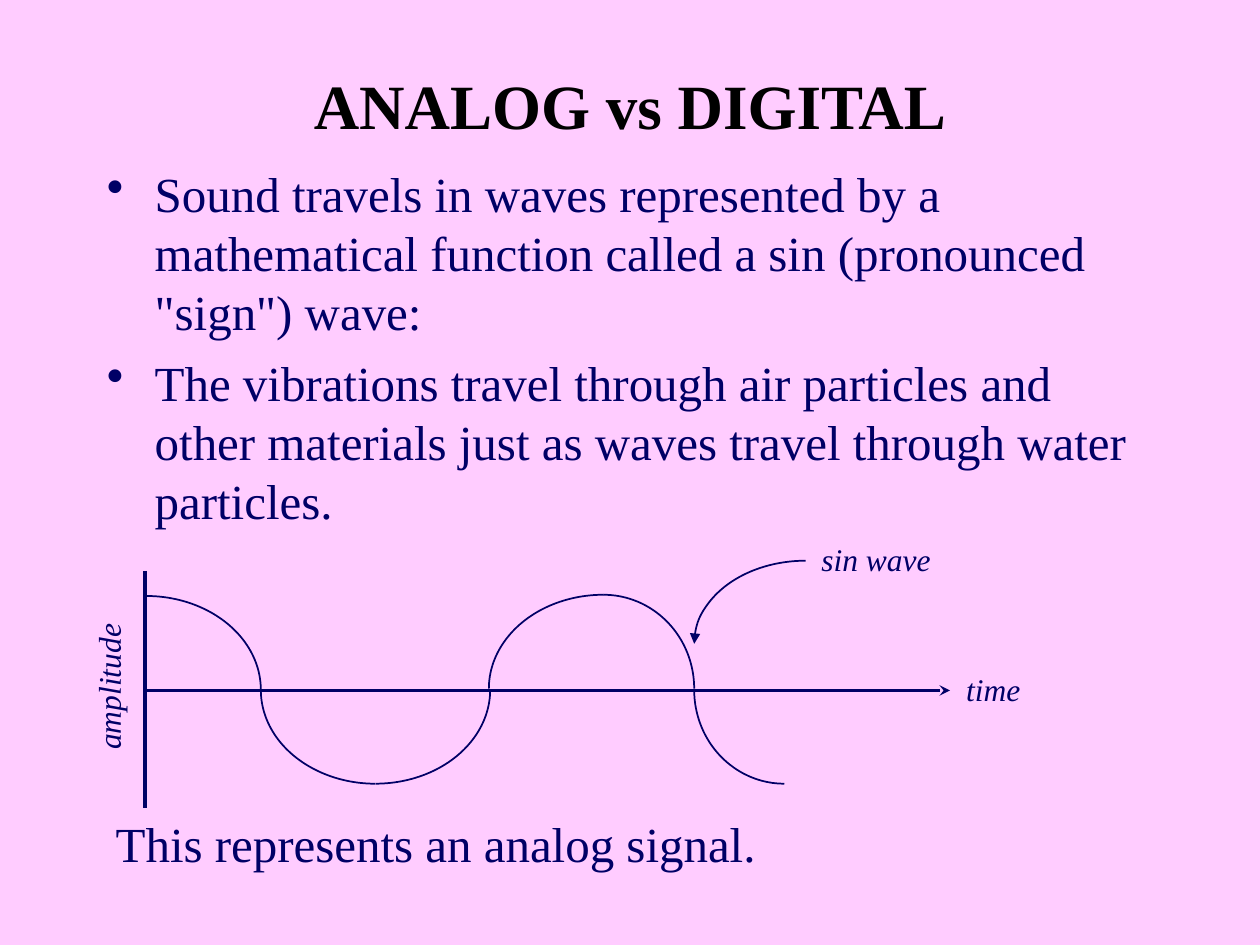
from typing import NamedTuple

from lxml import etree
from pptx import Presentation
from pptx.dml.color import RGBColor
from pptx.enum.shapes import MSO_CONNECTOR, MSO_SHAPE
from pptx.enum.text import MSO_ANCHOR, MSO_AUTO_SIZE, PP_ALIGN
from pptx.oxml.ns import qn
from pptx.util import Inches, Pt

PINK = RGBColor(0xFF, 0xCC, 0xFF)
NAVY = RGBColor(0x00, 0x00, 0x66)
BLACK = RGBColor(0x00, 0x00, 0x00)
FACE = "Times New Roman"
LINE = MSO_CONNECTOR.STRAIGHT
ARC = MSO_SHAPE.ARC
MIDDLE = MSO_ANCHOR.MIDDLE
TOP = MSO_ANCHOR.TOP
CENTER = PP_ALIGN.CENTER
LEFT = PP_ALIGN.LEFT
GROW = MSO_AUTO_SIZE.SHAPE_TO_FIT_TEXT
FIXED = MSO_AUTO_SIZE.NONE

COLS, ROWS = 100, 75
CELL = Inches(0.1)
LOW_RIGHT, LOW_LEFT, UP_LEFT, UP_RIGHT = 0, 90, 180, 270
ANGLE_UNIT = 0.6


class Box(NamedTuple):
    col: float
    row: float
    wide: float
    high: float

    def cells(self) -> list[int]:
        return [round(n * CELL) for n in self]


class Curve(NamedTuple):
    box: Box
    start: int
    head: str = ""


class Axis(NamedTuple):
    col: float
    row: float
    end_col: float
    end_row: float
    tail: str = ""


class Label(NamedTuple):
    text: str
    box: Box
    size: int = 18
    slant: bool = True
    turn: int = 0


AXES = [
    Axis(11.5, 54.8, 75.4, 54.8, "stealth"),
    Axis(11.5, 45.3, 11.5, 64.1),
]
TROUGH = Box(20.7, 47.3, 18.2, 14.9)
CURVES = [
    Curve(Box(2.5, 47.3, 18.2, 14.9), UP_RIGHT),
    Curve(TROUGH, LOW_LEFT),
    Curve(TROUGH, LOW_RIGHT),
    Curve(Box(38.8, 47.2, 18.2, 14.9), UP_LEFT),
    Curve(Box(40.7, 47.2, 14.4, 14.9), UP_RIGHT),
    Curve(Box(55.1, 47.3, 14.3, 14.9), LOW_LEFT),
    Curve(Box(55.1, 44.5, 17.7, 13.2), UP_LEFT, "triangle"),
]
LABELS = [
    Label("time", Box(75.7, 52.7, 6.3, 4)),
    Label("amplitude", Box(2.6, 52.5, 12, 4), turn=270),
    Label("sin wave", Box(64.2, 42.4, 10.7, 4)),
    Label("This represents an analog signal.", Box(8.2, 64.1, 52.8, 5.7), 28, False),
]
POINTS = [
    'Sound travels in waves represented by a mathematical function called a sin (pronounced "sign") wave:',
    "The vibrations travel through air particles and other materials just as waves travel through water particles.",
]


def add_bullet(para) -> None:
    props = para._p.get_or_add_pPr()
    props.set("marL", str(Inches(0.38)))
    props.set("indent", str(-Inches(0.38)))
    tint = etree.SubElement(props, qn("a:buClr"))
    etree.SubElement(tint, qn("a:srgbClr"), val=str(NAVY))
    etree.SubElement(props, qn("a:buChar"), char="•")


def add_text(slide, texts: list[str], box: Box, *, size: int, color=NAVY,
             bold=False, slant=False, align=LEFT, anchor=TOP, wrap=True,
             bullet=False, gap=0, turn=0) -> None:
    shape = slide.shapes.add_textbox(*box.cells())
    shape.rotation = turn
    frame = shape.text_frame
    frame.word_wrap = wrap
    frame.auto_size = FIXED if wrap else GROW
    frame.vertical_anchor = anchor
    for spot, text in enumerate(texts):
        para = frame.add_paragraph() if spot else frame.paragraphs[0]
        if bullet:
            add_bullet(para)
        para.alignment = align
        para.space_before = Pt(gap if spot else 0)
        run = para.add_run()
        run.text = text
        font = run.font
        font.name, font.size = FACE, Pt(size)
        font.bold, font.italic = bold, slant
        font.color.rgb = color


def set_line(shape, width: float, head: str = "", tail: str = "") -> None:
    shape.line.color.rgb = NAVY
    shape.line.width = Pt(width)
    stroke = shape.line._get_or_add_ln()
    for tag, kind in (("a:headEnd", head), ("a:tailEnd", tail)):
        if kind:
            etree.SubElement(stroke, qn(tag), type=kind)


def add_axis(slide, axis: Axis) -> None:
    ends = [round(n * CELL) for n in axis[:4]]
    line = slide.shapes.add_connector(LINE, *ends)
    set_line(line, 2, tail=axis.tail)
    etree.SubElement(line._element.spPr, qn("a:effectLst"))


def add_curve(slide, curve: Curve) -> None:
    arc = slide.shapes.add_shape(ARC, *curve.box.cells())
    arc.adjustments[0] = curve.start * ANGLE_UNIT
    arc.adjustments[1] = (curve.start + 90) % 360 * ANGLE_UNIT
    arc.fill.background()
    set_line(arc, 1, head=curve.head)
    arc.shadow.inherit = False


def main() -> None:
    deck = Presentation()
    deck.slide_width, deck.slide_height = COLS * CELL, ROWS * CELL
    slide = deck.slides.add_slide(deck.slide_layouts[6])
    slide.background.fill.solid()
    slide.background.fill.fore_color.rgb = PINK
    add_text(slide, ["ANALOG vs DIGITAL"], Box(7.5, 3.3, 85, 10), size=36,
             color=BLACK, bold=True, align=CENTER, anchor=MIDDLE)
    add_text(slide, POINTS, Box(7.5, 12.5, 85, 60), size=28, bullet=True, gap=7)
    for axis in AXES:
        add_axis(slide, axis)
    for curve in CURVES:
        add_curve(slide, curve)
    for label in LABELS:
        add_text(slide, [label.text], label.box, size=label.size,
                 slant=label.slant, wrap=False, turn=label.turn)
    deck.save("out.pptx")


if __name__ == "__main__":
    main()
